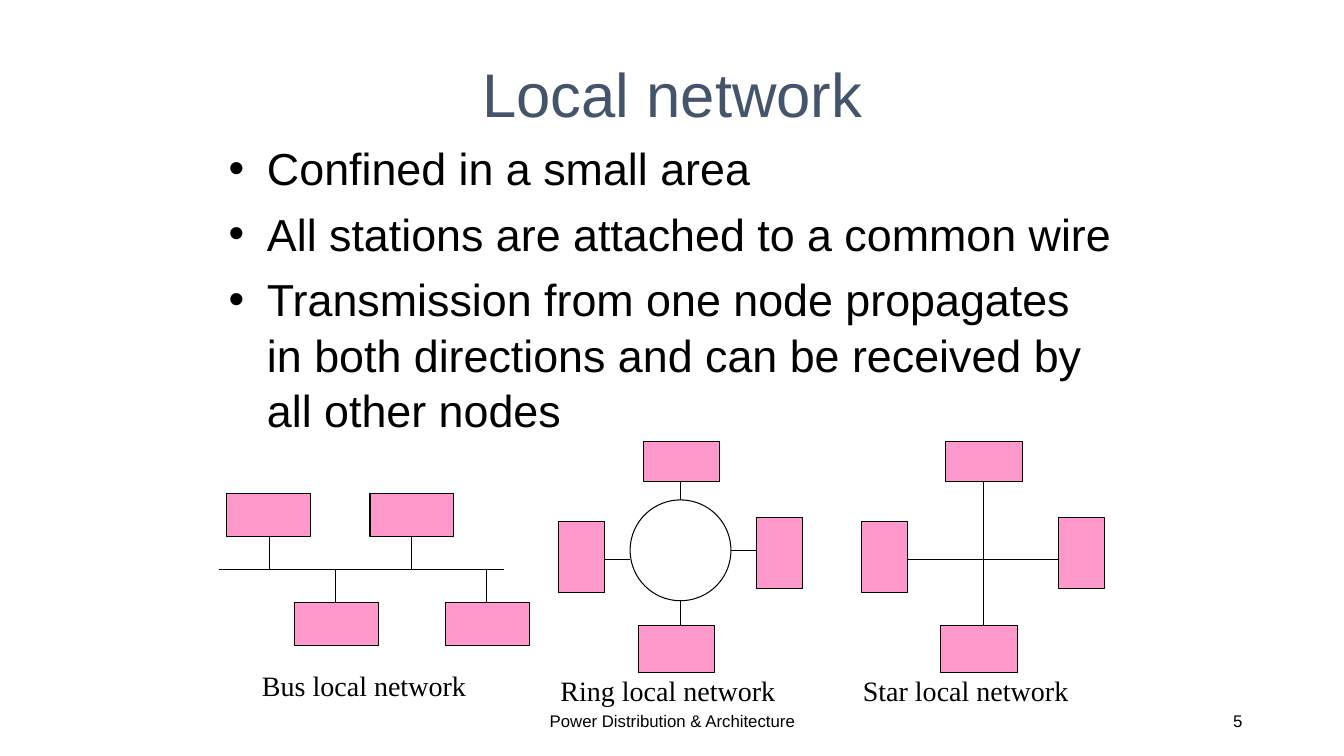
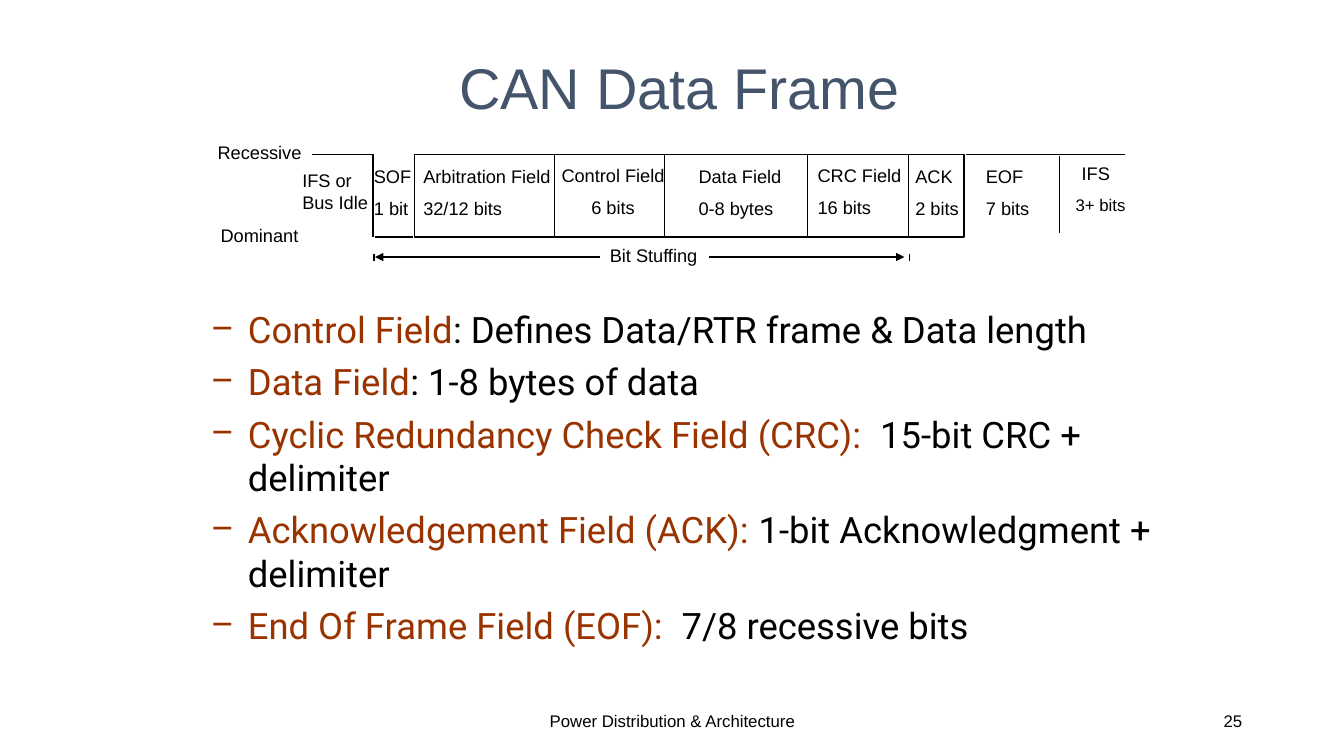
from lxml.etree import SubElement
from pptx import Presentation
from pptx.dml.color import RGBColor
from pptx.enum.shapes import MSO_CONNECTOR as CONNECTOR, MSO_SHAPE as SHAPE
from pptx.enum.text import MSO_ANCHOR as ANCHOR, PP_ALIGN as ALIGN
from pptx.oxml.ns import qn
from pptx.util import Pt

EMU_PER_PX = 9144  # 100 px to the inch

BLACK = RGBColor(0x00, 0x00, 0x00)
WHITE = RGBColor(0xFF, 0xFF, 0xFF)
SLATE = RGBColor(0x44, 0x54, 0x6A)
PINK = RGBColor(0xFF, 0x99, 0xCC)
RUST = RGBColor(0x99, 0x33, 0x00)

SANS, SERIF, BODY = "Arial", "Times New Roman", "Roboto"
FOOTER = "Power Distribution & Architecture"
HAIRLINE, FRAME_LINE = 0.75, 1


def px(*lengths):
    return [length * EMU_PER_PX for length in lengths]


def style(paragraph, size, font=SANS, color=BLACK):
    paragraph.font.size = Pt(size)
    paragraph.font.name = font
    paragraph.font.color.rgb = color


def add_text(shapes, box, lines, size, font=SANS, color=BLACK,
             align=ALIGN.LEFT, anchor=ANCHOR.TOP, gap=0):
    """Add a text box with one paragraph a line, gap points apart."""
    frame = shapes.add_textbox(*px(*box)).text_frame
    frame.word_wrap = True
    frame.vertical_anchor = anchor
    for index, line in enumerate(lines):
        paragraph = frame.add_paragraph() if index else frame.paragraphs[0]
        paragraph.text = line
        paragraph.alignment = align
        paragraph.space_before = Pt(gap if index else 0)
        style(paragraph, size, font, color)


def add_bullets(shapes, box, items, bullet, indent, size, font, gap, spacing=1.0):
    """Add a bulleted list; each item is a (lead, rest) pair with a rust lead."""
    frame = shapes.add_textbox(*px(*box)).text_frame
    frame.word_wrap = True
    for index, (lead, rest) in enumerate(items):
        paragraph = frame.add_paragraph() if index else frame.paragraphs[0]
        paragraph.space_before = Pt(gap if index else 0)
        paragraph.line_spacing = spacing
        properties = paragraph._p.get_or_add_pPr()
        margin, = px(indent)
        properties.set("marL", str(margin))
        properties.set("indent", str(-margin))
        if lead:
            color = SubElement(properties, qn("a:buClr"))
            SubElement(color, qn("a:srgbClr"), val=str(RUST))
        SubElement(properties, qn("a:buFont"), typeface=font)
        SubElement(properties, qn("a:buChar"), char=bullet)
        style(paragraph, size, font)
        if lead:
            run = paragraph.add_run()
            run.text = lead
            run.font.color.rgb = RUST
        paragraph.add_run().text = rest


def add_outline(shapes, kind, box, fill=None, width=HAIRLINE):
    shape = shapes.add_shape(kind, *px(*box))
    shape.shadow.inherit = False
    if fill is None:
        shape.fill.background()
    else:
        shape.fill.solid()
        shape.fill.fore_color.rgb = fill
    shape.line.color.rgb = BLACK
    shape.line.width = Pt(width)


def add_line(shapes, ends, width=HAIRLINE, arrow=False):
    """Draw a line between ends (x1, y1, x2, y2), with an arrowhead at the second."""
    connector = shapes.add_connector(CONNECTOR.STRAIGHT, *px(*ends))
    connector.line.color.rgb = BLACK
    connector.line.width = Pt(width)
    if arrow:
        SubElement(connector.line._get_or_add_ln(), qn("a:tailEnd"), type="triangle")
    SubElement(connector._element.spPr, qn("a:effectLst"))


def add_slide(presentation, number, title, title_box, title_size):
    slide = presentation.slides.add_slide(presentation.slide_layouts[6])
    shapes = slide.shapes
    add_text(shapes, (442, 695, 450, 40), [FOOTER], 12,
             align=ALIGN.CENTER, anchor=ANCHOR.MIDDLE)
    add_text(shapes, (942, 695, 300, 40), [str(number)], 12,
             align=ALIGN.RIGHT, anchor=ANCHOR.MIDDLE)
    add_text(shapes, title_box, [title], title_size, color=SLATE,
             align=ALIGN.CENTER, anchor=ANCHOR.MIDDLE)
    return shapes


def add_network(shapes, name, label_at, links, nodes, hub=None):
    """Group the links, pink station nodes and label of one network."""
    group = shapes.add_group_shape().shapes
    if hub:
        add_outline(group, SHAPE.OVAL, hub, WHITE)
    for ends in links:
        add_line(group, ends)
    for box in nodes:
        add_outline(group, SHAPE.RECTANGLE, box, PINK)
    add_text(group, (*label_at, 250, 43), [f"{name} local network"], 20, SERIF)


def add_bus_network(shapes):
    bus_y, drop, width, height = 565, 33, 83, 42
    links, nodes = [(217, bus_y, 500, bus_y)], []
    for left, tap in ((225, 267), (367, 408)):
        links.append((tap, bus_y - drop, tap, bus_y))
        nodes.append((left, bus_y - drop - height, width, height))
    for left, tap in ((292, 333), (442, 483)):
        links.append((tap, bus_y, tap, bus_y + drop))
        nodes.append((left, bus_y + drop, width, height))
    add_network(shapes, "Bus", (250, 658), links, nodes)


def add_round_network(shapes, name, center, links, hub=None):
    """Place four stations around center; links are relative to it in x."""
    stations = ((-37, 438, 76, 40), (-42, 621, 76, 46),
                (-121, 517, 46, 71), (75, 513, 46, 71))
    add_network(
        shapes, name, (center - 129, 663),
        [(center + x1, y1, center + x2, y2) for x1, y1, x2, y2 in links],
        [(center + x, y, width, height) for x, y, width, height in stations],
        hub)


def build_local_network(presentation):
    shapes = add_slide(presentation, 5, "Local network", (217, 30, 900, 125), 44)
    items = ("Confined in a small area",
             "All stations are attached to a common wire",
             "Transmission from one node propagates in both directions "
             "and can be received by all other nodes")
    add_bullets(shapes, (217, 133, 900, 495), [("", item) for item in items],
                "•", 38, 32, SANS, gap=7.4, spacing=1.03)
    add_bus_network(shapes)
    add_round_network(
        shapes, "Ring", 675,
        [(0, 463, 0, 496), (0, 596, 0, 630), (50, 546, 83, 546), (-83, 555, -50, 555)],
        hub=(625, 496, 100, 100))
    add_round_network(shapes, "Star", 975, [(0, 463, 0, 630), (-83, 555, 75, 555)])


def add_frame_diagram(shapes):
    group = shapes.add_group_shape().shapes
    top, bottom = 153, 235
    edges = (411, 550, 659, 801, 901, 956)
    for left, right in zip(edges, edges[1:]):
        add_outline(group, SHAPE.RECTANGLE, (left, top, right - left, bottom - top),
                    width=FRAME_LINE)

    signal_lines = ((309, top, 370, top), (370, top, 370, bottom),
                    (372, bottom, 410, bottom), (958, top, 1116, top),
                    (1051, 155, 1051, 231))
    stuffing_limits = ((371, 252, 371, 259), (902, 252, 902, 259))
    for ends in signal_lines + stuffing_limits:
        add_line(group, ends, FRAME_LINE)
    for ends in ((595, 255, 372, 255), (703, 255, 897, 255)):
        add_line(group, ends, FRAME_LINE, arrow=True)

    fields = (("SOF", "1 bit", 361, 159, 61, ALIGN.LEFT),
              ("Arbitration Field", "32/12 bits", 410, 159, 152, ALIGN.LEFT),
              ("Control Field", "6 bits", 536, 158, 144, ALIGN.CENTER),
              ("Data Field", "0-8 bytes", 683, 159, 127, ALIGN.LEFT),
              ("CRC Field", "16 bits", 801, 158, 111, ALIGN.LEFT),
              ("ACK", "2 bits", 898, 159, 69, ALIGN.LEFT),
              ("EOF", "7 bits", 968, 159, 77, ALIGN.LEFT))
    for name, length, left, label_top, width, align in fields:
        add_text(group, (left, label_top, width, 64), [name, length], 13,
                 align=align, gap=7.4)

    labels = ((["Recessive"], 206, 135, 111, 13),
              (["Dominant"], 209, 218, 100, 13),
              (["Bit Stuffing"], 595, 237, 110, 13),
              (["IFS or", "Bus Idle"], 290, 163, 90, 13),
              (["IFS"], 1063, 156, 60, 13),
              (["3+ bits"], 1057, 188, 70, 12))
    for lines, left, label_top, width, size in labels:
        add_text(group, (left, label_top, width, 31), lines, size)


def build_data_frame(presentation):
    shapes = add_slide(presentation, 25, "CAN Data Frame", (249, 56, 850, 59), 41)
    items = (("Control Field", ": Defines Data/RTR frame & Data length"),
             ("Data Field", ": 1-8 bytes of data"),
             ("Cyclic Redundancy Check Field (CRC):", "  15-bit CRC + delimiter"),
             ("Acknowledgement Field (ACK):", " 1-bit Acknowledgment + delimiter"),
             ("End Of Frame Field (EOF):", "  7/8 recessive bits"))
    add_bullets(shapes, (199, 300, 968, 348), items, "–", 37, 26, BODY, gap=6.1)
    add_frame_diagram(shapes)


def main():
    presentation = Presentation()
    presentation.slide_width, presentation.slide_height = px(1333, 750)
    build_local_network(presentation)
    build_data_frame(presentation)
    presentation.save("out.pptx")


if __name__ == "__main__":
    main()
